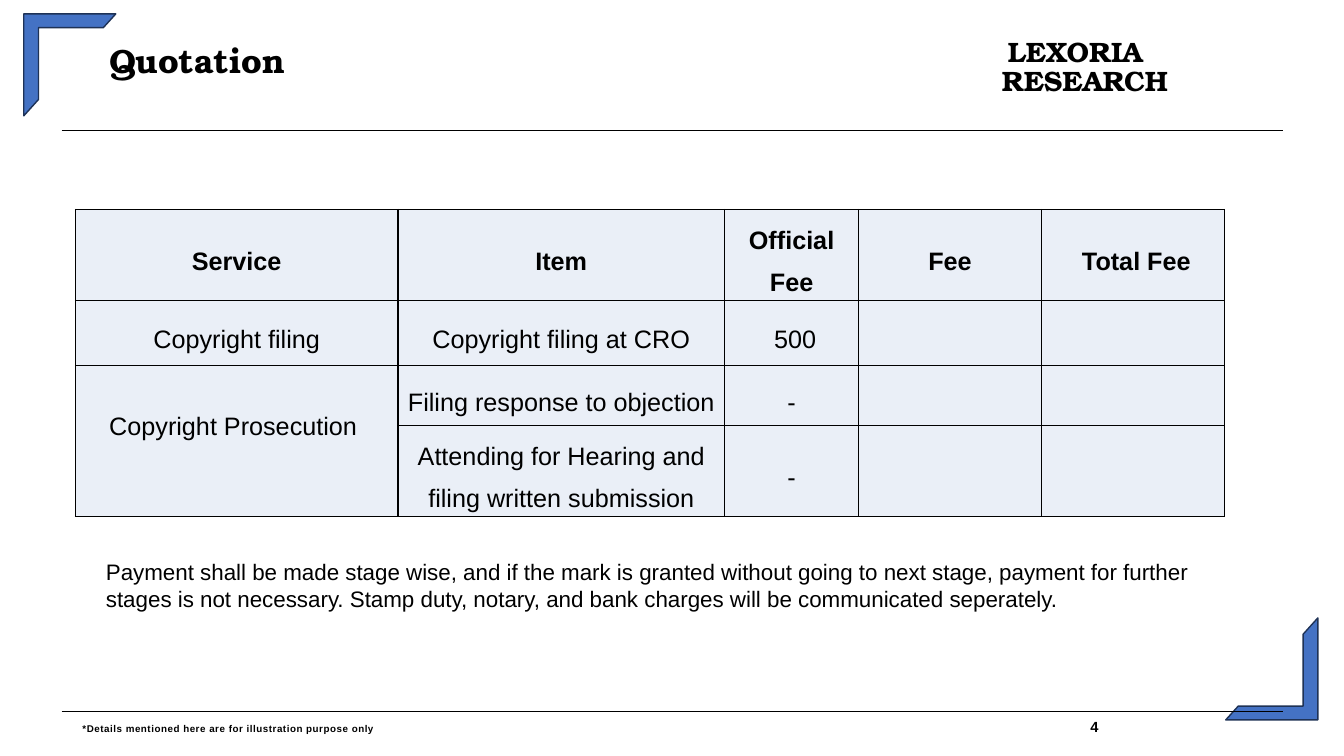
from dataclasses import dataclass

from lxml import etree
from pptx import Presentation
from pptx.dml.color import RGBColor
from pptx.enum.shapes import MSO_CONNECTOR, MSO_SHAPE
from pptx.enum.text import MSO_ANCHOR, PP_ALIGN
from pptx.oxml.ns import qn
from pptx.util import Cm, Pt

LINE = MSO_CONNECTOR.STRAIGHT
HALF_FRAME = MSO_SHAPE.HALF_FRAME
MIDDLE = MSO_ANCHOR.MIDDLE
CENTER = PP_ALIGN.CENTER


@dataclass(frozen=True)
class Theme:
    ink: RGBColor = RGBColor(0x00, 0x00, 0x00)
    accent: RGBColor = RGBColor(0x44, 0x72, 0xC4)
    accent_edge: RGBColor = RGBColor(0x1E, 0x32, 0x56)
    cell: RGBColor = RGBColor(0xEA, 0xEF, 0xF7)
    display: str = "TeX Gyre Bonum"
    body: str = "Arial"
    title_size: Pt = Pt(24)
    name_size: Pt = Pt(20)
    table_size: Pt = Pt(18)
    terms_size: Pt = Pt(16)
    page_size: Pt = Pt(10.5)
    note_size: Pt = Pt(7)
    rule: Pt = Pt(0.48)
    edge: Pt = Pt(1)


THEME = Theme()

COLUMNS = [8.13, 8.23, 3.38, 4.6, 4.62]
ROWS = [2.29, 1.63, 1.52, 2.29]
QUOTES = [
    ["Service", "Item", "Official Fee", "Fee", " Total Fee"],
    ["Copyright filing", "Copyright filing at CRO", " 500", "", ""],
    ["Copyright Prosecution ", "Filing response to objection", "-", "", ""],
    ["", "Attending for Hearing and filing written submission", "-", "", ""],
]
TERMS = ("Payment shall be made stage wise, and if the mark is granted without "
         "going to next stage, payment for further stages is not necessary. "
         "Stamp duty, notary, and bank charges will be communicated seperately.")


def style(font, name, size, bold=False):
    font.name, font.size, font.bold = name, size, bold
    font.color.rgb = THEME.ink


def add_text(s, x, y, w, h, inset=0.0):
    """Add a wrapping text box and return its first paragraph."""
    tf = s.shapes.add_textbox(Cm(x), Cm(y), Cm(w), Cm(h)).text_frame
    tf.word_wrap = True
    tf.margin_left = tf.margin_right = Cm(inset)
    tf.margin_top = tf.margin_bottom = Cm(inset / 2)
    return tf.paragraphs[0]


def add_rule(s, x, y, w):
    line = s.shapes.add_connector(LINE, Cm(x), Cm(y), Cm(x + w), Cm(y))
    line.line.color.rgb = THEME.ink
    line.line.width = THEME.rule
    etree.SubElement(line._element.spPr, qn("a:effectLst"))


def add_corner(s, x, y, w, h, rotation=0):
    sp = s.shapes.add_shape(HALF_FRAME, Cm(x), Cm(y), Cm(w), Cm(h))
    sp.adjustments[0], sp.adjustments[1] = 0.15, 0.16
    sp.rotation = rotation
    sp.shadow.inherit = False
    sp.fill.solid()
    sp.fill.fore_color.rgb = THEME.accent
    sp.line.color.rgb = THEME.accent_edge
    sp.line.width = THEME.edge


def add_header(s, x, y, w, h):
    """Title on the left, firm name on the right, rule along the bottom."""
    p = add_text(s, x + 1.2, y + 0.36, 20, 1.52)
    p.text = "Quotation"
    p.line_spacing = 0.79
    style(p.font, THEME.display, THEME.title_size, True)

    p = add_text(s, x + w - 7.08, y + 0.13, 4.8, 1.6)
    p.text = "LEXORIA RESEARCH"
    p.line_spacing = 0.87
    p._p.get_or_add_pPr().set("indent", str(Cm(0.15)))
    style(p.font, THEME.display, THEME.name_size, True)

    add_rule(s, x, y + h, w)


def set_borders(cell):
    tcPr = cell._tc.get_or_add_tcPr()
    for side in ("lnL", "lnR", "lnT", "lnB"):
        ln = etree.SubElement(tcPr, qn(f"a:{side}"), w=str(THEME.edge))
        fill = etree.SubElement(ln, qn("a:solidFill"))
        etree.SubElement(fill, qn("a:srgbClr"), val=str(THEME.ink))


def fill_cell(cell, text, bold):
    set_borders(cell)
    cell.fill.solid()
    cell.fill.fore_color.rgb = THEME.cell
    cell.vertical_anchor = MIDDLE
    cell.margin_left = cell.margin_right = Cm(0.18)
    cell.margin_top = cell.margin_bottom = 0
    p = cell.text_frame.paragraphs[0]
    p.text = text
    p.alignment = CENTER
    p.line_spacing = 1.5
    style(p.font, THEME.body, THEME.table_size, bold)


def add_quote_table(s, x, y):
    frame = s.shapes.add_table(len(ROWS), len(COLUMNS), Cm(x), Cm(y),
                               Cm(sum(COLUMNS)), Cm(sum(ROWS)))
    table = frame.table
    table.first_row = table.horz_banding = False
    for column, width in zip(table.columns, COLUMNS):
        column.width = Cm(width)
    for row, height in zip(table.rows, ROWS):
        row.height = Cm(height)
    for i, texts in enumerate(QUOTES):
        for j, text in enumerate(texts):
            fill_cell(table.cell(i, j), text, bold=i == 0)
    prosecution = table.cell(2, 0)
    prosecution.merge(table.cell(3, 0))
    prosecution.margin_bottom = Cm(1.06)


def add_terms(s, x, y, w, h):
    p = add_text(s, x, y, w, h, inset=0.25)
    p.text = TERMS
    style(p.font, THEME.body, THEME.terms_size)


def add_footer(s, x, y, w, h):
    """Rule along the top, then the note and a tabbed page number."""
    add_rule(s, x, y, w)
    p = add_text(s, x + 0.53, y + 0.24, w - 0.53, h - 0.24)
    p.line_spacing = 0.84
    tabs = etree.SubElement(p._p.get_or_add_pPr(), qn("a:tabLst"))
    etree.SubElement(tabs, qn("a:tab"), pos=str(Cm(25.4)), algn="l")
    for text, size in (
        ("*Details mentioned here are for illustration purpose only\t", THEME.note_size),
        ("4", THEME.page_size),
    ):
        r = p.add_run()
        r.text = text
        style(r.font, THEME.body, size, True)
        r._r.get_or_add_rPr().set("spc", "40")


def build_quotation(prs):
    s = prs.slides.add_slide(prs.slide_layouts[6])
    add_header(s, 1.55, 0.86, 30.78, 2.43)
    add_corner(s, 0.6, 0.35, 2.32, 2.57)
    add_corner(s, 30.89, 15.57, 2.32, 2.57, rotation=180)
    add_quote_table(s, 1.9, 5.28)
    add_terms(s, 2.42, 13.95, 29.2, 1.62)
    add_footer(s, 1.55, 17.92, 30.78, 0.8)


def main():
    prs = Presentation()
    prs.slide_width, prs.slide_height = Cm(33.87), Cm(19.05)
    build_quotation(prs)
    prs.save("out.pptx")


if __name__ == "__main__":
    main()
